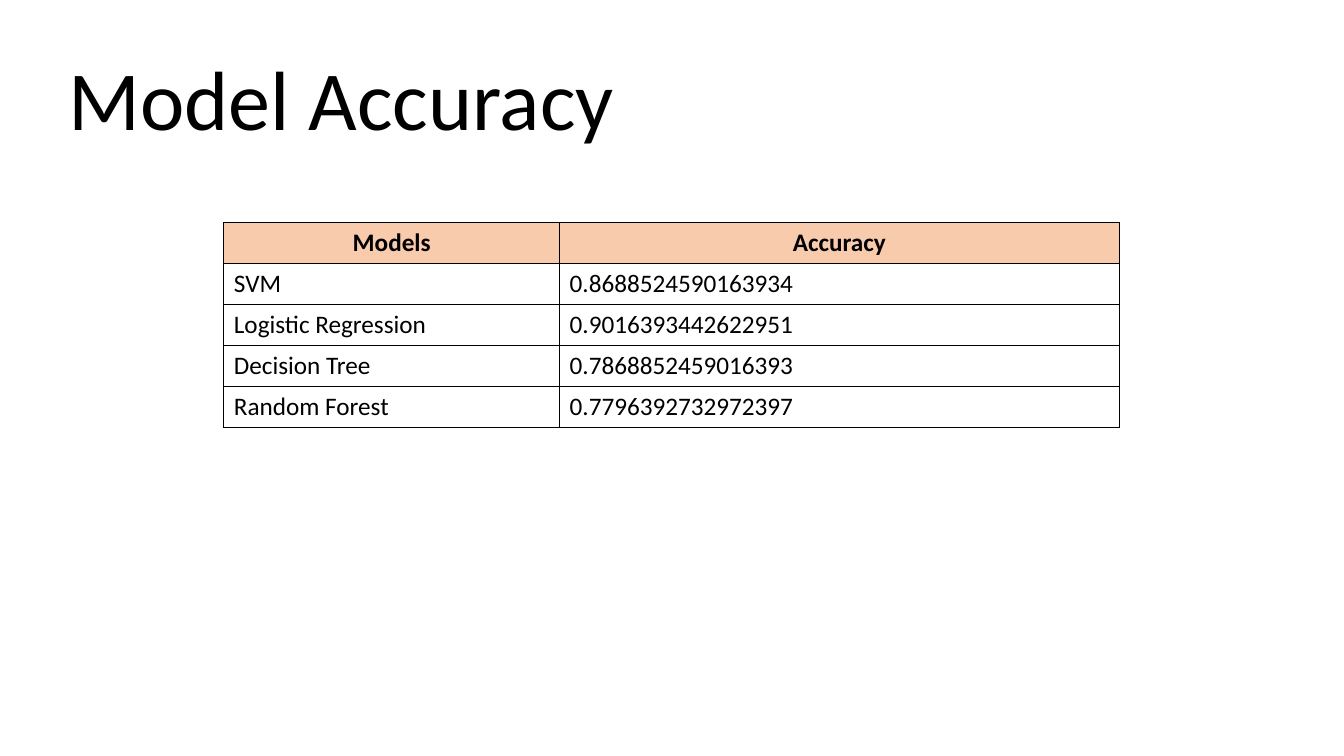
from lxml.etree import SubElement
from pptx import Presentation
from pptx.dml.color import RGBColor
from pptx.enum.text import MSO_ANCHOR, MSO_AUTO_SIZE, PP_ALIGN
from pptx.oxml import parse_xml
from pptx.oxml.ns import nsdecls, qn
from pptx.util import Inches, Pt

BLACK = RGBColor(0x00, 0x00, 0x00)
PEACH = RGBColor(0xF8, 0xCB, 0xAD)
FONT = "Calibri"
ROWS = [
    ("Models", "Accuracy"),
    ("SVM", "0.8688524590163934"),
    ("Logistic Regression", "0.9016393442622951"),
    ("Decision Tree", "0.7868852459016393"),
    ("Random Forest", "0.7796392732972397"),
]
WIDTHS = [Inches(3.33), Inches(5.55)]
ROW_H = Inches(0.4)


def style(par, size, bold=False):
    par.font.name = FONT
    par.font.size = Pt(size)
    par.font.bold = bold
    par.font.color.rgb = BLACK


def border(cell):
    props = cell._tc.get_or_add_tcPr()
    for pos, side in enumerate(("lnL", "lnR", "lnT", "lnB")):
        line = parse_xml(f'<a:{side} {nsdecls("a")} w="{Pt(1)}"/>')
        fill = SubElement(line, qn("a:solidFill"))
        SubElement(fill, qn("a:srgbClr"), val=str(BLACK))
        props.insert(pos, line)


deck = Presentation()
deck.slide_width = Inches(13.33)
deck.slide_height = Inches(7.5)
slide = deck.slides.add_slide(deck.slide_layouts[5])

# Title
title = slide.shapes.title
title.left, title.top = Inches(0.58), Inches(0.54)
title.width, title.height = Inches(9.48), Inches(0.96)
frame = title.text_frame
frame.text = "Model Accuracy"
frame.auto_size = MSO_AUTO_SIZE.NONE
frame.vertical_anchor = MSO_ANCHOR.MIDDLE
head = frame.paragraphs[0]
head.alignment = PP_ALIGN.LEFT
head.line_spacing = 0.9
head.space_before = Pt(10)
style(head, 60)

# Accuracy table
table = slide.shapes.add_table(
    len(ROWS), len(WIDTHS), Inches(2.22), Inches(2.21),
    sum(WIDTHS), ROW_H * len(ROWS)).table
table.horz_banding = False
for col, width in zip(table.columns, WIDTHS):
    col.width = width

for r, row in enumerate(ROWS):
    first = r == 0
    for c, text in enumerate(row):
        cell = table.cell(r, c)
        cell.text = text
        par = cell.text_frame.paragraphs[0]
        par.alignment = PP_ALIGN.CENTER if first else PP_ALIGN.LEFT
        style(par, 18, first)
        if first:
            cell.fill.solid()
            cell.fill.fore_color.rgb = PEACH
        else:
            cell.fill.background()
        border(cell)

deck.save("out.pptx")
